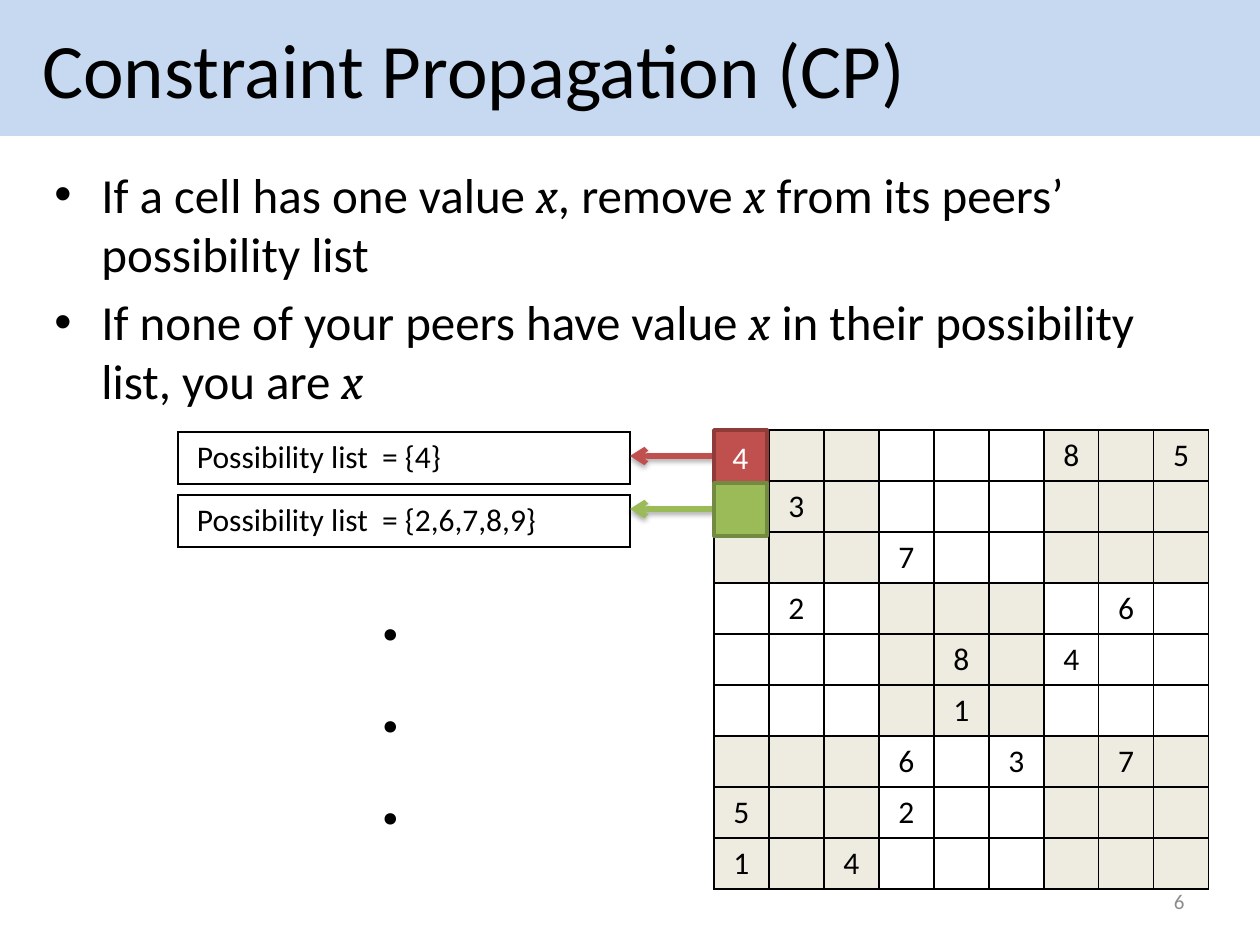
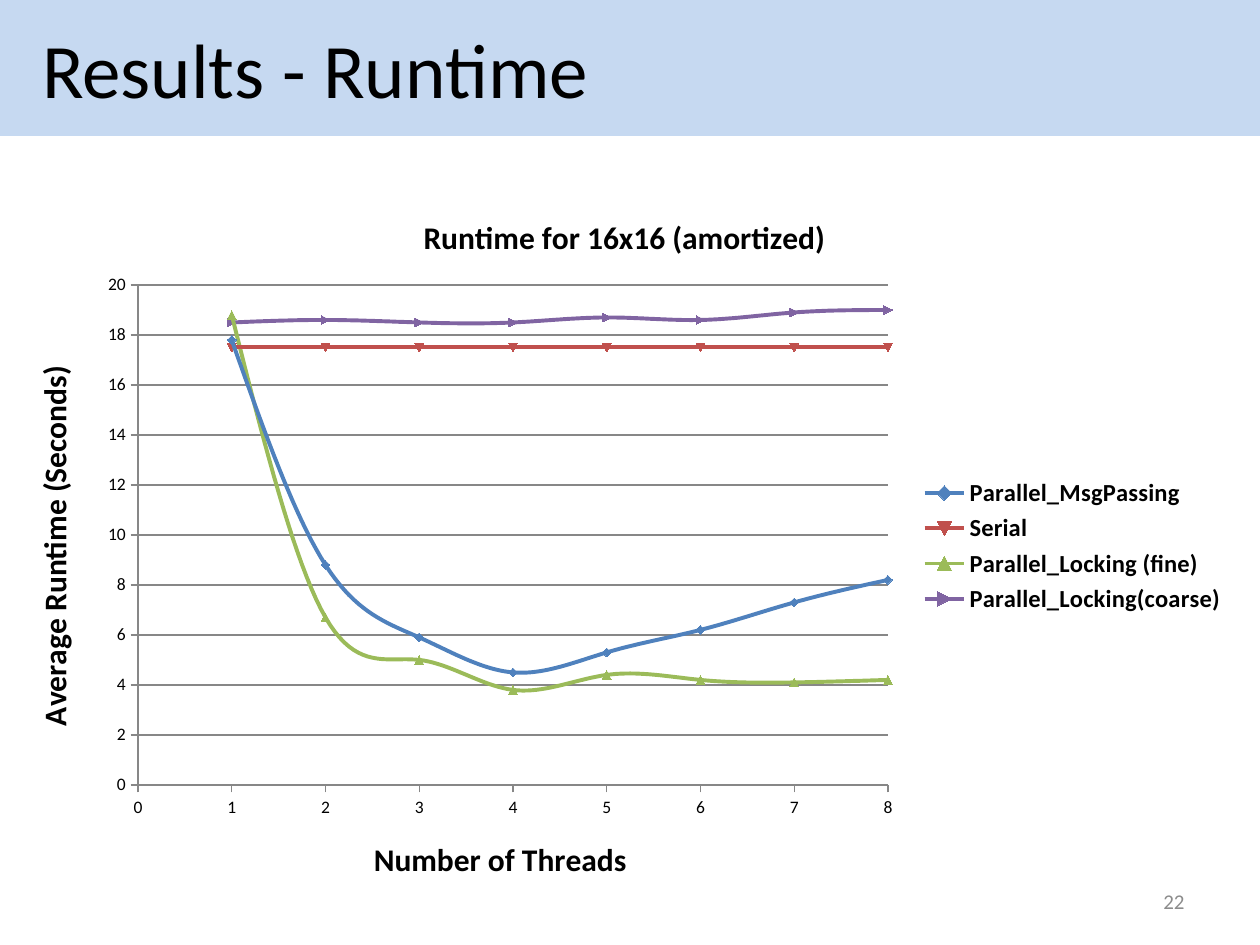
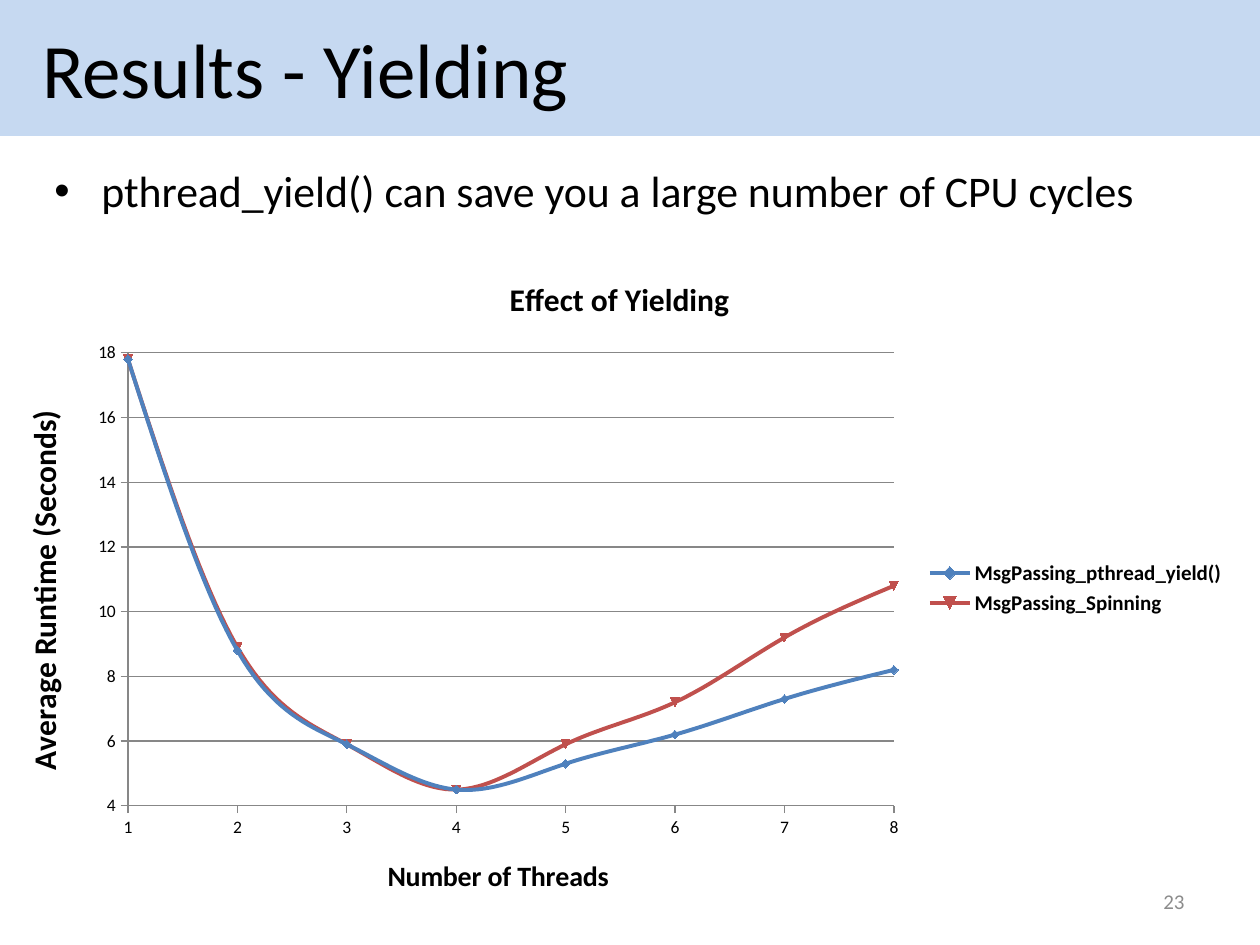
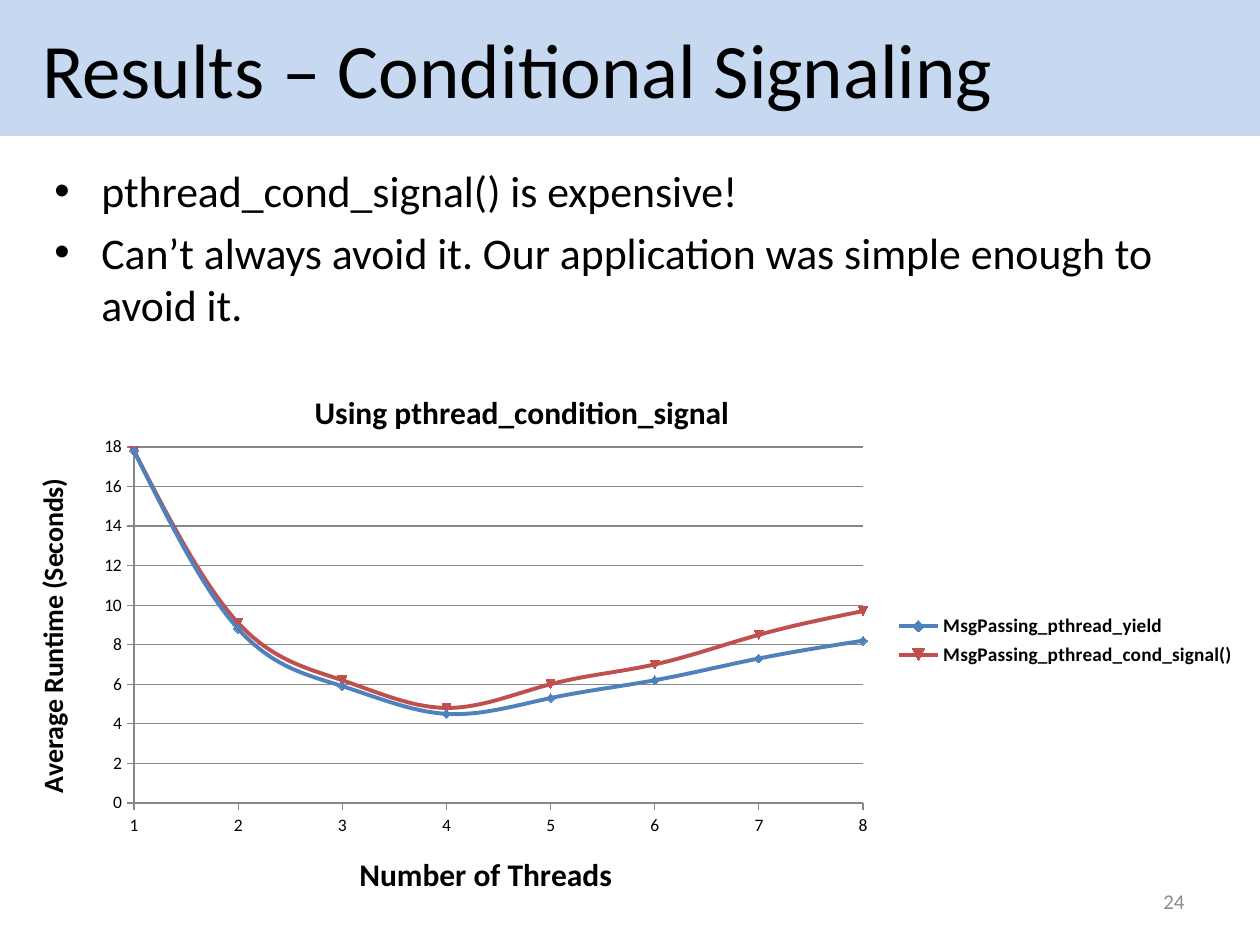
from dataclasses import dataclass
from typing import Optional

from lxml import etree
from pptx import Presentation
from pptx.chart.data import XyChartData
from pptx.dml.color import RGBColor
from pptx.enum.chart import XL_CHART_TYPE, XL_LEGEND_POSITION, XL_TICK_MARK
from pptx.enum.shapes import MSO_CONNECTOR, MSO_SHAPE
from pptx.enum.text import MSO_ANCHOR, PP_ALIGN
from pptx.oxml.ns import qn
from pptx.util import Emu, Pt

# Shared look
BLACK = RGBColor(0x00, 0x00, 0x00)
WHITE = RGBColor(0xFF, 0xFF, 0xFF)
BAND = RGBColor(0xC6, 0xD9, 0xF1)
BOX_SHADE = RGBColor(0xEE, 0xEC, 0xE1)
NUMBER_GRAY = RGBColor(0x8C, 0x8C, 0x8C)
GRID_GRAY = RGBColor(0x87, 0x87, 0x87)
BLUE = RGBColor(0x4F, 0x81, 0xBD)
RED = RGBColor(0xC0, 0x50, 0x4D)
GREEN = RGBColor(0x9B, 0xBB, 0x59)
PURPLE = RGBColor(0x80, 0x64, 0xA2)
DARK_RED = RGBColor(0x8E, 0x3B, 0x39)
DARK_GREEN = RGBColor(0x73, 0x8A, 0x42)
FONT = "Calibri"
MATH_FONT = "Cambria"
SLIDE_W, SLIDE_H, BAND_H = 1260, 945, 136


def px(length: float) -> Emu:
    """Pixels at 126 to the inch, as EMU."""
    return Emu(round(length * 914400 / 126))


@dataclass(frozen=True)
class Rect:
    left: int
    top: int
    width: int
    height: int

    def emu(self) -> tuple:
        return tuple(px(v) for v in (self.left, self.top, self.width, self.height))


@dataclass(frozen=True)
class Series:
    name: str
    color: RGBColor
    values: list


@dataclass(frozen=True)
class ChartSpec:
    title: str
    frame: Rect
    plot: Rect
    x_min: int
    y_min: int
    y_max: int
    x_title_size: int
    y_title_size: int
    legend_size: int
    series: list
    title_at: Optional[tuple] = None


@dataclass(frozen=True)
class Candidate:
    """A highlighted cell, its arrow and its possibility list."""
    digit: str
    values: str
    fill: RGBColor
    line: RGBColor
    cell_top: int
    list_top: int


# Text helpers
def style(font, size: float, color: RGBColor = BLACK, bold: bool = False,
          name: str = FONT) -> None:
    font.name, font.size, font.bold = name, Pt(size), bold
    font.color.rgb = color


def add_run(paragraph, text: str, size: float, color: RGBColor = BLACK,
            bold: bool = False, math: bool = False) -> None:
    run = paragraph.add_run()
    run.text = text
    style(run.font, size, color, bold, MATH_FONT if math else FONT)
    run.font.italic = math


def text_box(slide, rect: Rect):
    frame = slide.shapes.add_textbox(*rect.emu()).text_frame
    frame.word_wrap = True
    return frame


def paragraphs(frame, count: int) -> list:
    return [frame.paragraphs[0]] + [frame.add_paragraph() for _ in range(count - 1)]


def add_bullets(slide, items: list, size: int) -> None:
    """Each item alternates plain text and math symbols, split at '|'."""
    frame = text_box(slide, Rect(42, 158, 1134, 624))
    for paragraph, item in zip(paragraphs(frame, len(items)), items):
        paragraph.space_before = Pt(size * 0.2)
        props = paragraph._p.get_or_add_pPr()
        props.set("marL", str(px(47)))
        props.set("indent", str(-px(47)))
        etree.SubElement(props, qn("a:buFont")).set("typeface", "Arial")
        etree.SubElement(props, qn("a:buChar")).set("char", "•")
        for i, part in enumerate(item.split("|")):
            if part:
                add_run(paragraph, part, size, math=i % 2 == 1)


def add_slide(prs, title: str, number: int):
    """A slide with the title band and the slide number."""
    slide = prs.slides.add_slide(prs.slide_layouts[5])
    band = slide.shapes.title
    band.left, band.top, band.width, band.height = Rect(0, 0, SLIDE_W, BAND_H).emu()
    band.fill.solid()
    band.fill.fore_color.rgb = BAND
    frame = band.text_frame
    frame.vertical_anchor = MSO_ANCHOR.MIDDLE
    frame.margin_left = px(42)
    frame.paragraphs[0].alignment = PP_ALIGN.LEFT
    add_run(frame.paragraphs[0], title, 44)

    footer = text_box(slide, Rect(903, 876, 294, 50))
    footer.vertical_anchor = MSO_ANCHOR.MIDDLE
    footer.paragraphs[0].alignment = PP_ALIGN.RIGHT
    add_run(footer.paragraphs[0], str(number), 12, NUMBER_GRAY)
    return slide


# Tables
def add_plain_table(slide, rect: Rect, rows: int, cols: int):
    table = slide.shapes.add_table(rows, cols, *rect.emu()).table
    table.first_row = table.horz_banding = False
    for column in table.columns:
        column.width = px(rect.width / cols)
    for row in table.rows:
        row.height = px(rect.height / rows)
    return table


def fill_cell(cell, text: str, fill: Optional[RGBColor] = None,
              align: PP_ALIGN = PP_ALIGN.LEFT) -> None:
    if fill is None:
        cell.fill.background()
    else:
        cell.fill.solid()
        cell.fill.fore_color.rgb = fill
    paragraph = cell.text_frame.paragraphs[0]
    paragraph.alignment = align
    if text:
        add_run(paragraph, text, 18)
    props = cell._tc.get_or_add_tcPr()
    for i, side in enumerate(("lnL", "lnR", "lnT", "lnB")):
        border = etree.Element(qn(f"a:{side}"), w=str(Pt(1)))
        solid = etree.SubElement(border, qn("a:solidFill"))
        etree.SubElement(solid, qn("a:srgbClr"), val=str(BLACK))
        props.insert(i, border)


def add_sudoku(slide, rect: Rect, lines: list) -> None:
    """Dots are empty cells; every second 3x3 box is shaded."""
    table = add_plain_table(slide, rect, len(lines), len(lines[0]))
    for r, line in enumerate(lines):
        for c, digit in enumerate(line):
            shaded = (r // 3 + c // 3) % 2 == 0
            fill_cell(table.cell(r, c), digit.replace(".", ""),
                      BOX_SHADE if shaded else None, PP_ALIGN.CENTER)


# Candidate cells
def add_arrow(slide, start_x: int, end_x: int, y: int, color: RGBColor) -> None:
    arrow = slide.shapes.add_connector(
        MSO_CONNECTOR.STRAIGHT, px(start_x), px(y), px(end_x), px(y))
    arrow.line.color.rgb = color
    arrow.line.width = Pt(3)
    etree.SubElement(arrow.line._get_or_add_ln(), qn("a:tailEnd"), type="arrow")
    effects = etree.SubElement(arrow._element.spPr, qn("a:effectLst"))
    shadow = etree.SubElement(effects, qn("a:outerShdw"), blurRad=str(Pt(3.1)),
                              dist=str(Pt(1.8)), dir="5400000", rotWithShape="0")
    shade = etree.SubElement(shadow, qn("a:srgbClr"), val=str(BLACK))
    etree.SubElement(shade, qn("a:alpha"), val="35000")


def add_candidate(slide, item: Candidate) -> None:
    list_box = Rect(178, item.list_top, 452, 52)
    cell = Rect(714, item.cell_top, 53, 53)

    label = add_plain_table(slide, list_box, 1, 1).cell(0, 0)
    label.margin_left = px(19)
    fill_cell(label, f"Possibility list  = {{{item.values}}}")

    add_arrow(slide, cell.left, list_box.left + list_box.width,
              cell.top + cell.height // 2, item.fill)

    square = slide.shapes.add_shape(MSO_SHAPE.RECTANGLE, *cell.emu())
    square.shadow.inherit = False
    square.fill.solid()
    square.fill.fore_color.rgb = item.fill
    square.line.color.rgb = item.line
    square.line.width = Pt(2)
    if item.digit:
        frame = square.text_frame
        frame.vertical_anchor = MSO_ANCHOR.MIDDLE
        frame.paragraphs[0].alignment = PP_ALIGN.CENTER
        add_run(frame.paragraphs[0], item.digit, 18, WHITE)


# Charts
def set_layout(parent, index: int, **values) -> None:
    """Give a chart part a fixed place; index is where c:layout belongs."""
    for old in parent.findall(qn("c:layout")):
        parent.remove(old)
    layout = etree.Element(qn("c:layout"))
    manual = etree.SubElement(layout, qn("c:manualLayout"))
    for tag, value in values.items():
        etree.SubElement(manual, qn(f"c:{tag}"), val=str(value))
    parent.insert(index, layout)


def set_title(title, text: str, size: int) -> None:
    add_run(title.text_frame.paragraphs[0], text, size, bold=True)


def format_axis(axis, low: int, high: int, step: int, title: str, size: int,
                gridlines: bool) -> None:
    axis.minimum_scale, axis.maximum_scale, axis.major_unit = low, high, step
    axis.major_tick_mark = XL_TICK_MARK.OUTSIDE
    axis.minor_tick_mark = XL_TICK_MARK.NONE
    axis.format.line.color.rgb = GRID_GRAY
    axis.has_major_gridlines = gridlines
    if gridlines:
        axis.major_gridlines.format.line.color.rgb = GRID_GRAY
    style(axis.tick_labels.font, 10)
    set_title(axis.axis_title, title, size)


def add_runtime_chart(slide, spec: ChartSpec) -> None:
    data = XyChartData(number_format="General")
    for item in spec.series:
        points = data.add_series(item.name)
        for threads, seconds in enumerate(item.values, start=1):
            points.add_data_point(threads, seconds)
    chart = slide.shapes.add_chart(
        XL_CHART_TYPE.XY_SCATTER_SMOOTH, *spec.frame.emu(), data).chart
    style(chart.font, 10)

    chart.has_title = True
    set_title(chart.chart_title, spec.title, 18)
    chart.chart_title.include_in_layout = False
    chart.has_legend = True
    chart.legend.position = XL_LEGEND_POSITION.RIGHT
    chart.legend.include_in_layout = False
    style(chart.legend.font, spec.legend_size, bold=True)

    format_axis(chart.category_axis, spec.x_min, 8, 1, "Number of Threads",
                spec.x_title_size, gridlines=False)
    format_axis(chart.value_axis, spec.y_min, spec.y_max, 2,
                "Average Runtime (Seconds)", spec.y_title_size, gridlines=True)
    turned = chart.value_axis.axis_title._element.find(".//" + qn("a:bodyPr"))
    turned.set("rot", "-5400000")
    turned.set("vert", "horz")

    plot = chart.plots[0]
    plot.vary_by_categories = False
    for series, item in zip(plot.series, spec.series):
        series.format.line.color.rgb = item.color
        series.format.line.width = Pt(2.25)
        series._element.find(qn("c:smooth")).set("val", "1")

    # Places inside the chart, as fractions of its frame
    def across(x: int) -> float:
        return round((x - spec.frame.left) / spec.frame.width, 4)

    def down(y: int) -> float:
        return round((y - spec.frame.top) / spec.frame.height, 4)

    area = chart._chartSpace.find(".//" + qn("c:plotArea"))
    set_layout(area, 0, layoutTarget="inner", xMode="edge", yMode="edge",
               x=across(spec.plot.left), y=down(spec.plot.top),
               w=round(spec.plot.width / spec.frame.width, 4),
               h=round(spec.plot.height / spec.frame.height, 4))
    if spec.title_at:
        x, y = spec.title_at
        set_layout(chart.chart_title._element, 1, xMode="edge", yMode="edge",
                   x=across(x), y=down(y))


# Content
SUDOKU = [
    "4.....8.5",
    ".3.......",
    "...7.....",
    ".2.....6.",
    "....8.4..",
    "....1....",
    "...6.3.7.",
    "5..2.....",
    "1.4......",
]
CANDIDATES = [
    Candidate("4", "4", RED, DARK_RED, 430, 432),
    Candidate("", "2,6,7,8,9", GREEN, DARK_GREEN, 483, 495),
]
MSG_PASSING = [17.8, 8.8, 5.9, 4.5, 5.3, 6.2, 7.3, 8.2]

RUNTIME = ChartSpec(
    "Runtime for 16x16 (amortized)", Rect(10, 189, 1229, 714),
    Rect(138, 285, 750, 500), x_min=0, y_min=0, y_max=20,
    x_title_size=18, y_title_size=18, legend_size=14,
    series=[
        Series("Parallel_MsgPassing", BLUE, MSG_PASSING),
        Series("Serial", RED, [17.5] * 8),
        Series("Parallel_Locking (fine)", GREEN,
               [18.8, 6.7, 5, 3.8, 4.4, 4.2, 4.1, 4.2]),
        Series("Parallel_Locking(coarse)", PURPLE,
               [18.5, 18.6, 18.5, 18.5, 18.7, 18.6, 18.9, 19]),
    ])
YIELDING = ChartSpec(
    "Effect of Yielding", Rect(0, 252, 1239, 672),
    Rect(128, 353, 766, 453), x_min=1, y_min=4, y_max=18,
    x_title_size=16, y_title_size=18, legend_size=12,
    series=[
        Series("MsgPassing_pthread_yield()", BLUE, MSG_PASSING),
        Series("MsgPassing_Spinning", RED,
               [17.8, 8.9, 5.9, 4.5, 5.9, 7.2, 9.2, 10.8]),
    ])
SIGNALING = ChartSpec(
    "Using pthread_condition_signal", Rect(10, 357, 1239, 567),
    Rect(134, 447, 729, 356), x_min=1, y_min=0, y_max=18,
    x_title_size=18, y_title_size=16, legend_size=11, title_at=(309, 385),
    series=[
        Series("MsgPassing_pthread_yield", BLUE, MSG_PASSING),
        Series("MsgPassing_pthread_cond_signal()", RED,
               [17.8, 9.1, 6.2, 4.8, 6, 7, 8.5, 9.7]),
    ])

prs = Presentation()
prs.slide_width, prs.slide_height = px(SLIDE_W), px(SLIDE_H)

# Constraint propagation
slide = add_slide(prs, "Constraint Propagation (CP)", 6)
add_bullets(slide, [
    "If a cell has one value |x|, remove |x| from its peers’ possibility list",
    "If none of your peers have value |x| in their possibility list, you are |x",
], 28)
add_sudoku(slide, Rect(714, 430, 495, 459), SUDOKU)
for candidate in CANDIDATES:
    add_candidate(slide, candidate)
for dot in paragraphs(text_box(slide, Rect(368, 557, 53, 292)), 3):
    add_run(dot, ".", 44, bold=True)

# Runtime
slide = add_slide(prs, "Results - Runtime", 22)
add_runtime_chart(slide, RUNTIME)

# Yielding
slide = add_slide(prs, "Results - Yielding", 23)
add_runtime_chart(slide, YIELDING)
add_bullets(slide, ["pthread_yield() can save you a large number of CPU cycles"], 25)

# Conditional signaling
slide = add_slide(prs, "Results – Conditional Signaling", 24)
add_bullets(slide, [
    "pthread_cond_signal() is expensive!",
    "Can’t always avoid it. Our application was simple enough to avoid it.",
], 25)
add_runtime_chart(slide, SIGNALING)

prs.save("out.pptx")
